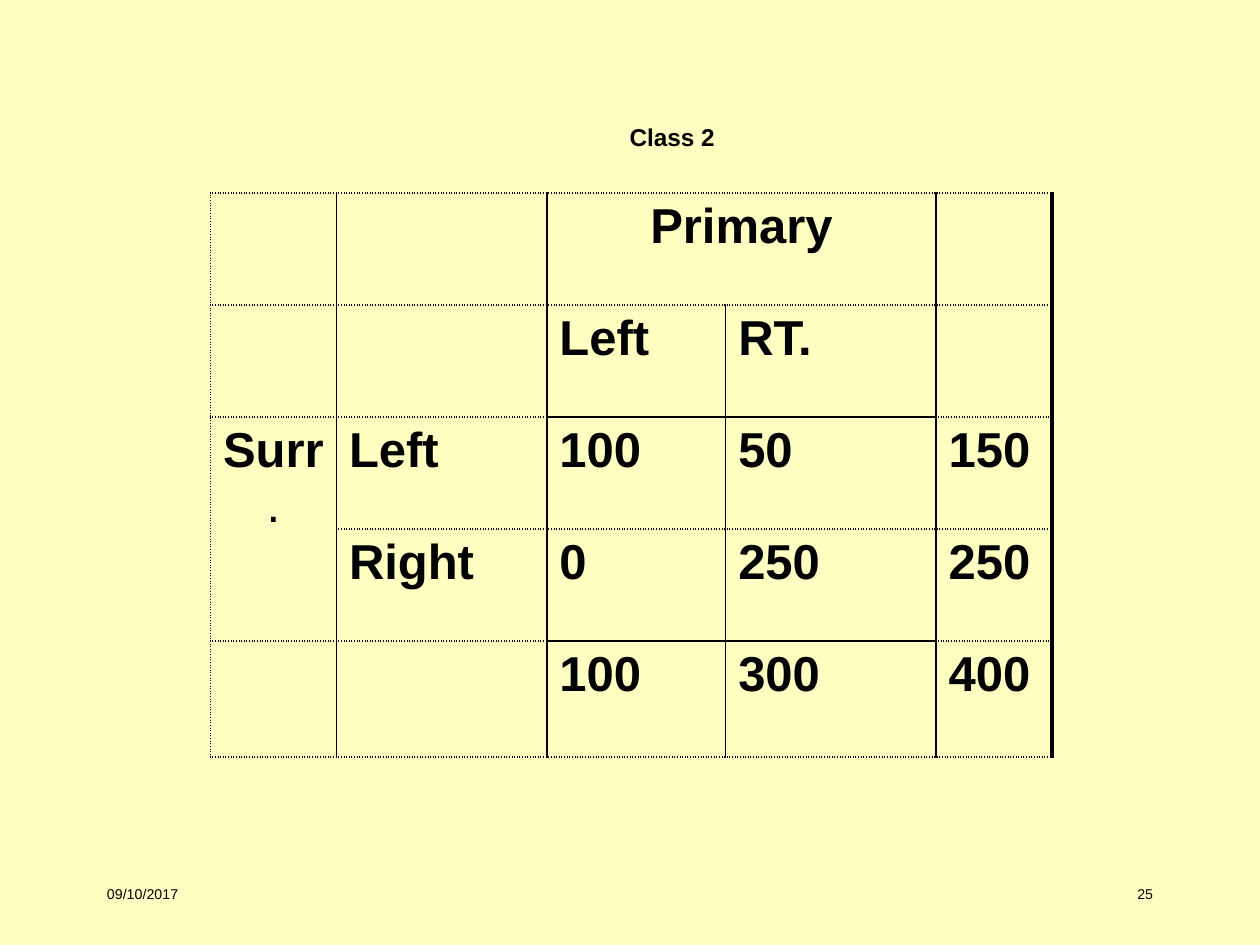
from lxml.etree import SubElement
from pptx import Presentation
from pptx.dml.color import RGBColor
from pptx.enum.text import MSO_ANCHOR, MSO_AUTO_SIZE, PP_ALIGN
from pptx.oxml.ns import qn
from pptx.util import Inches, Pt

COLORS = {"background": "FFFFC2", "ink": "000000"}
FONT = "Arial"

TITLE = ("Class 2", (4.17, 0.67, 2.33, 0.5))
FOOTERS = [
    ("09/10/2017", (0.75, 6.83, 2.08, 0.5), PP_ALIGN.LEFT),
    ("25", (7.17, 6.83, 2.08, 0.5), PP_ALIGN.RIGHT),
]
ROWS = [
    ["", "", "Primary", "", ""],
    ["", "", "Left", "RT.", ""],
    ["Surr.", "Left", "100", "50", "150"],
    ["", "Right", "0", "250", "250"],
    ["", "", "100", "300", "400"],
]
TABLE_LEFT, TABLE_TOP = 1.67, 1.53
COLUMN_WIDTHS = [1, 1.67, 1.42, 1.67, 0.92]
ROW_HEIGHTS = [0.89, 0.89, 0.89, 0.89, 0.92]
MERGES = [((0, 2), (0, 3)), ((2, 0), (3, 0))]

SOLID, DOTTED, THICK = (1, "solid"), (1, "sysDot"), (2.25, "solid")
VERTICAL_LINES = [DOTTED, SOLID, SOLID, SOLID, SOLID, THICK]


def horizontal_line(boundary, column):
    """Solid above and below the block of counts, dotted elsewhere."""
    return SOLID if boundary in (2, 4) and column in (2, 3) else DOTTED


def add_span(para, text, size, bold=False, subscript=False):
    span = para.add_run()
    span.text = text
    span.font.name = FONT
    span.font.size = Pt(size)
    span.font.bold = bold
    span.font.color.rgb = RGBColor.from_string(COLORS["ink"])
    if subscript:
        span.font._element.set("baseline", "-33000")


def write_label(box, text, size, align, bold=False):
    frame = box.text_frame
    frame.word_wrap = True
    frame.vertical_anchor = MSO_ANCHOR.TOP
    para = frame.paragraphs[0]
    para.alignment = align
    add_span(para, text, size, bold, subscript=True)


def add_border(cell, side, line):
    width, dash = line
    border = SubElement(cell._tc.get_or_add_tcPr(), qn(f"a:ln{side}"), w=str(Pt(width)))
    fill = SubElement(border, qn("a:solidFill"))
    SubElement(fill, qn("a:srgbClr"), val=COLORS["ink"])
    SubElement(border, qn("a:prstDash"), val=dash)


def style_cell(cell, row, column):
    right = column + (cell.span_width if cell.is_merge_origin else 1)
    bottom = row + (cell.span_height if cell.is_merge_origin else 1)
    add_border(cell, "L", VERTICAL_LINES[column])
    add_border(cell, "R", VERTICAL_LINES[right])
    add_border(cell, "T", horizontal_line(row, column))
    add_border(cell, "B", horizontal_line(bottom, column))
    cell.fill.background()


def write_cell(cell, text):
    para = cell.text_frame.paragraphs[0]
    para.alignment = PP_ALIGN.CENTER if cell.is_merge_origin else PP_ALIGN.LEFT
    spacing = SubElement(para._p.get_or_add_pPr(), qn("a:spcBef"))
    SubElement(spacing, qn("a:spcPct"), val="20000")
    word = text.removesuffix(".") if cell.is_merge_origin else text
    add_span(para, word, 28, bold=True)
    if word != text:
        add_span(para, ".", 28)


def add_count_table(page):
    table = page.shapes.add_table(
        len(ROWS), len(COLUMN_WIDTHS), Inches(TABLE_LEFT), Inches(TABLE_TOP),
        Inches(sum(COLUMN_WIDTHS)), Inches(sum(ROW_HEIGHTS))).table
    table.first_row = table.horz_banding = False
    for column, width in zip(table.columns, COLUMN_WIDTHS):
        column.width = Inches(width)
    for row, height in zip(table.rows, ROW_HEIGHTS):
        row.height = Inches(height)
    for first, last in MERGES:
        table.cell(*first).merge(table.cell(*last))
    for r, texts in enumerate(ROWS):
        for c, text in enumerate(texts):
            cell = table.cell(r, c)
            if cell.is_spanned:
                continue
            style_cell(cell, r, c)
            if text:
                write_cell(cell, text)


def main():
    deck = Presentation()
    deck.slide_width, deck.slide_height = Inches(10), Inches(7.5)
    page = deck.slides.add_slide(deck.slide_layouts[5])
    page.background.fill.solid()
    page.background.fill.fore_color.rgb = RGBColor.from_string(COLORS["background"])

    for text, place, align in FOOTERS:
        box = page.shapes.add_textbox(*map(Inches, place))
        write_label(box, text, 14, align)

    add_count_table(page)

    text, place = TITLE
    title = page.shapes.title
    title.left, title.top, title.width, title.height = map(Inches, place)
    write_label(title, text, 24, PP_ALIGN.CENTER, bold=True)
    title.text_frame.auto_size = MSO_AUTO_SIZE.SHAPE_TO_FIT_TEXT

    deck.save("out.pptx")


if __name__ == "__main__":
    main()
